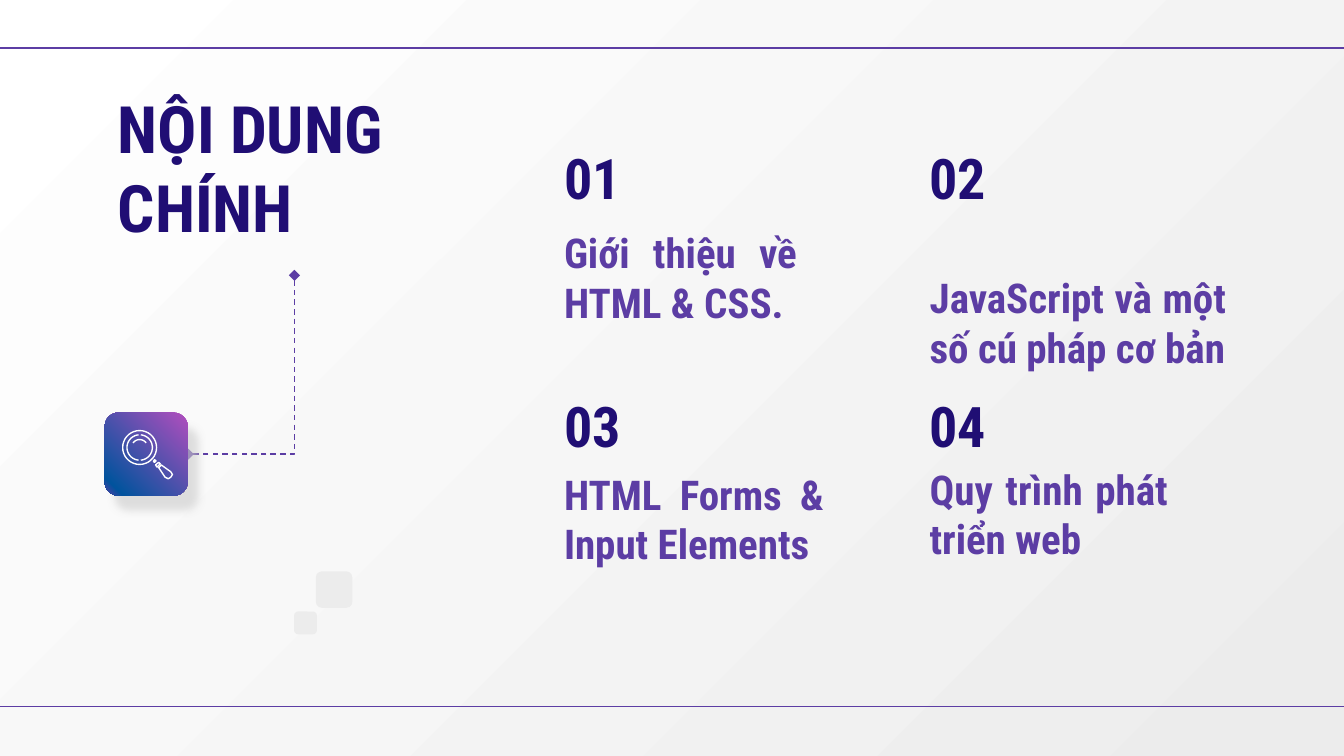
from dataclasses import dataclass
from math import cos, radians, sin
from typing import NamedTuple

from lxml.etree import SubElement
from pptx import Presentation
from pptx.dml.color import RGBColor
from pptx.enum.dml import MSO_LINE as Dash
from pptx.enum.shapes import MSO_CONNECTOR as Conn, MSO_SHAPE as Shape
from pptx.enum.text import MSO_ANCHOR as Anchor, PP_ALIGN as Align
from pptx.oxml.ns import qn
from pptx.util import Cm, Pt


@dataclass(frozen=True)
class Theme:
    font: str = "Roboto Condensed"
    navy: str = "200E74"
    purple: str = "5C3DA4"
    white: str = "FFFFFF"
    pale: str = "ECECEC"
    shadow: str = "CCCCCC"
    tile: tuple = ((0, "B24EBE"), (89, "01539D"), (100, "5C3DA4"))
    title_size: int = 35
    number_size: int = 30
    topic_size: int = 22
    line_width: float = 0.75


class Box(NamedTuple):
    left: float
    top: float
    width: float
    height: float


class Topic(NamedTuple):
    text: str
    top: float
    width: float
    height: float


THEME = Theme()
WIDTH, HEIGHT = 25.4, 14.29
COLUMNS = (10.41, 17.32)
ROWS = (2.51, 7.19)
TOPICS = (
    Topic("Giới thiệu về HTML & CSS.", 4.24, 4.9, 2.18),
    Topic("JavaScript và một số cú pháp cơ bản", 5.21, 6.1, 2.06),
    Topic("HTML Forms & Input Elements", 9.68, 5.41, 1.3),
    Topic("Quy trình phát triển web", 9.8, 5.0, 1.09),
)
TILE = Box(1.98, 7.8, 1.57, 1.57)
SQUARES = (Box(5.97, 10.8, 0.69, 0.69), Box(5.56, 11.56, 0.43, 0.43))
LENS = (2.64, 8.46)
LENS_ARCS = ((0.32, 0, 360), (0.24, 95, 265), (0.24, -85, 85), (0.15, 215, 325))
HANDLE_PARTS = (
    ((2.92, 8.69), (2.95, 8.71), (2.92, 8.74), (2.9, 8.72)),
    ((3.0, 8.74), (3.03, 8.77), (2.97, 8.83), (2.94, 8.79)),
    ((3.0, 8.84), (3.05, 8.79), (3.23, 8.92), (3.26, 8.97),
     (3.23, 9.02), (3.18, 9.05), (3.12, 9.02)),
)


def rgb(color: str) -> RGBColor:
    return RGBColor.from_string(color)


def lengths(values) -> list:
    return [Cm(v) for v in values]


def add_gradient(fill, owner, stops: tuple, angle: int) -> None:
    fill.gradient()
    fill.gradient_angle = 360 - angle
    gs_list = next(owner.iter(qn("a:gsLst")))
    for gs in list(gs_list):
        gs_list.remove(gs)
    for position, color in stops:
        gs = SubElement(gs_list, qn("a:gs"), pos=str(position * 1000))
        SubElement(gs, qn("a:srgbClr"), val=color)


def add_text(slide, box: Box, text: str, size: int, color: str,
             anchor=Anchor.BOTTOM, align=Align.LEFT) -> None:
    tf = slide.shapes.add_textbox(*lengths(box)).text_frame
    tf.word_wrap = True
    tf.vertical_anchor = anchor
    tf.margin_left = tf.margin_right = tf.margin_top = tf.margin_bottom = Cm(0.25)
    p = tf.paragraphs[0]
    p.text = text
    p.alignment = align
    p.font.name = THEME.font
    p.font.size = Pt(size)
    p.font.bold = True
    p.font.color.rgb = rgb(color)


def add_line(slide, kind, start: tuple, end: tuple):
    line = slide.shapes.add_connector(kind, *lengths(start + end))
    line.line.color.rgb = rgb(THEME.purple)
    line.line.width = Pt(THEME.line_width)
    SubElement(line._element.spPr, qn("a:effectLst"))
    return line


def add_elbow(slide) -> None:
    line = add_line(slide, Conn.ELBOW, (2.87, 5.89), (6.25, 7.9))
    line.line.dash_style = Dash.DASH
    sp_pr = line._element.spPr
    sp_pr.find(qn("a:prstGeom")).set("prst", "bentConnector2")
    sp_pr.find(qn("a:xfrm")).set("rot", str(90 * 60000))
    ln = sp_pr.find(qn("a:ln"))
    for end in ("a:headEnd", "a:tailEnd"):
        SubElement(ln, qn(end), type="diamond")


def add_rounded(slide, box: Box):
    sp = slide.shapes.add_shape(Shape.ROUNDED_RECTANGLE, *lengths(box))
    sp.shadow.inherit = False
    sp.line.fill.background()
    return sp


def add_tile(slide) -> None:
    sp = add_rounded(slide, TILE)
    add_gradient(sp.fill, sp._element, THEME.tile, 135)
    effects = sp._element.spPr.find(qn("a:effectLst"))
    shadow = SubElement(effects, qn("a:outerShdw"), blurRad=str(Pt(4.5)),
                        dist=str(Pt(9.8)), dir=str(55 * 60000),
                        algn="bl", rotWithShape="0")
    color = SubElement(shadow, qn("a:srgbClr"), val=THEME.shadow)
    SubElement(color, qn("a:alpha"), val="60000")


def add_outline(slide, points, close: bool) -> None:
    start, *rest = [tuple(lengths(point)) for point in points]
    builder = slide.shapes.build_freeform(*start)
    builder.add_line_segments(rest, close=close)
    sp = builder.convert_to_shape()
    sp.shadow.inherit = False
    sp.fill.background()
    sp.line.color.rgb = rgb(THEME.white)
    sp.line.width = Pt(THEME.line_width)


def arc_points(radius: float, first: int, last: int, steps: int = 36) -> list:
    angles = [radians(first + (last - first) * i / steps) for i in range(steps + 1)]
    return [(LENS[0] + radius * cos(a), LENS[1] + radius * sin(a)) for a in angles]


def main() -> None:
    prs = Presentation()
    prs.slide_width, prs.slide_height = Cm(WIDTH), Cm(HEIGHT)
    slide = prs.slides.add_slide(prs.slide_layouts[6])
    add_gradient(slide.background.fill, slide._element,
                 ((0, THEME.white), (100, THEME.pale)), 45)

    for y in (0.91, 13.36):
        add_line(slide, Conn.STRAIGHT, (0, y), (WIDTH, y))

    add_text(slide, Box(1.98, 1.42, 7.16, 3.78), "NỘI DUNG CHÍNH",
             THEME.title_size, THEME.navy, Anchor.TOP)
    for i, topic in enumerate(TOPICS):
        row, column = divmod(i, len(COLUMNS))
        left = COLUMNS[column]
        add_text(slide, Box(left, ROWS[row], 6.1, 1.73), f"{i + 1:02}",
                 THEME.number_size, THEME.navy)
        add_text(slide, Box(left, topic.top, topic.width, topic.height), topic.text,
                 THEME.topic_size, THEME.purple, align=Align.JUSTIFY)

    for box in SQUARES:
        sp = add_rounded(slide, box)
        sp.fill.solid()
        sp.fill.fore_color.rgb = rgb(THEME.pale)

    add_elbow(slide)
    add_tile(slide)
    for radius, first, last in LENS_ARCS:
        add_outline(slide, arc_points(radius, first, last), close=last - first == 360)
    for points in HANDLE_PARTS:
        add_outline(slide, points, close=True)

    prs.save("out.pptx")


if __name__ == "__main__":
    main()
